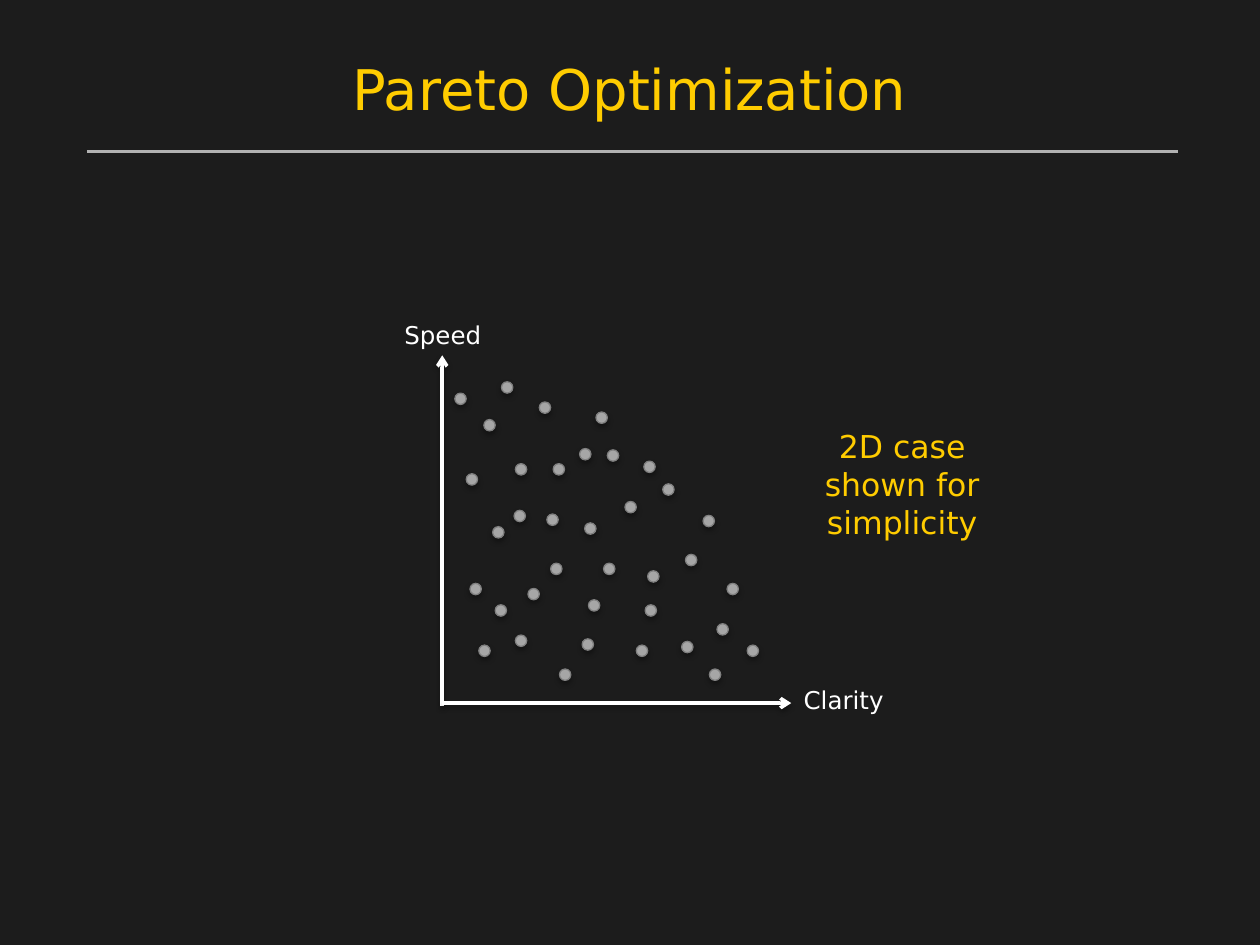
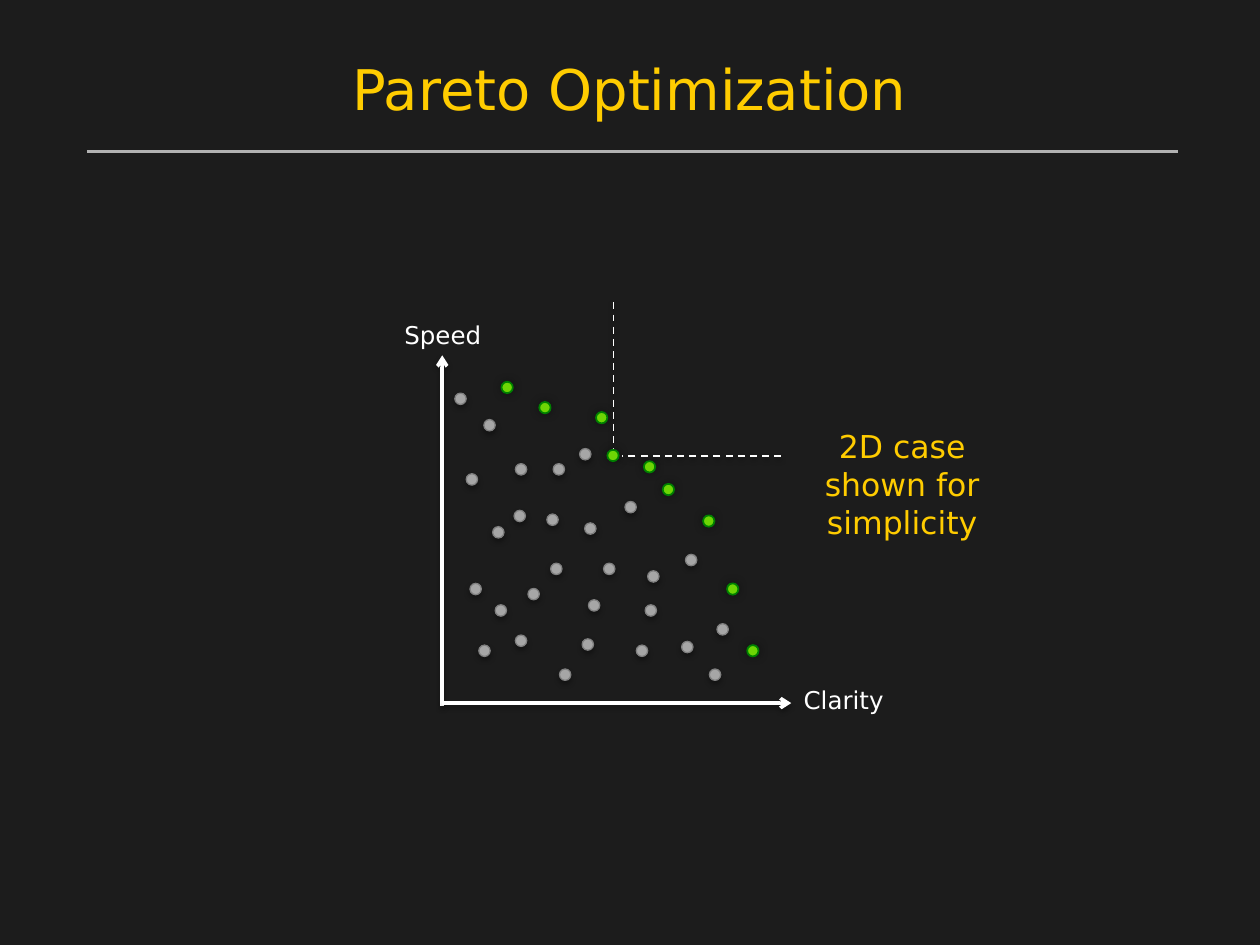
from lxml.etree import SubElement
from pptx import Presentation
from pptx.dml.color import RGBColor
from pptx.enum.dml import MSO_LINE
from pptx.enum.shapes import MSO_CONNECTOR, MSO_SHAPE
from pptx.enum.text import MSO_ANCHOR, MSO_AUTO_SIZE, PP_ALIGN
from pptx.oxml.ns import qn
from pptx.util import Pt

PX = 9144  # 100 px to the inch
FONT = "DejaVu Sans"
DARK = RGBColor(0x1C, 0x1C, 0x1C)
GOLD = RGBColor(0xFF, 0xCC, 0x00)
WHITE = RGBColor(0xFF, 0xFF, 0xFF)
SILVER = RGBColor(0xB2, 0xB2, 0xB2)
GREY = RGBColor(0xA6, 0xA6, 0xA6)
EDGE = RGBColor(0x80, 0x80, 0x80)
LIME = RGBColor(0x6D, 0xD5, 0x05)
GREEN = RGBColor(0x00, 0x80, 0x00)

SIZE = 9
DOTS = [
    (380, 512), (419, 467), (391, 418), (393, 480), (444, 531), (467, 476),
    (505, 512), (370, 376), (514, 453), (409, 368), (398, 303), (541, 509),
    (563, 531), (496, 398), (544, 440), (434, 408), (361, 312), (428, 319),
    (482, 357), (526, 384), (593, 512), (384, 333), (577, 463), (473, 327),
    (460, 356), (511, 366), (558, 409), (373, 463), (462, 507), (409, 504),
    (569, 495), (479, 447), (408, 405), (512, 480), (439, 368), (437, 447),
    (464, 415),
]
# The front: dots with no other dot both clearer (right) and faster (up).
FRONT = [(x, y) for x, y in DOTS
         if not any(a >= x and b <= y and (a, b) != (x, y) for a, b in DOTS)]

# x1, y1, x2, y2, colour, points, kind
RULE = (69, 120, 935, 120, SILVER, 1.5, "rule")
AXES = [(351, 560, 351, 282, WHITE, 2, "axis"),
        (351, 558, 628, 558, WHITE, 2, "axis")]
GUIDES = [(620, 362, 494, 362, WHITE, 1, "guide"),
          (487, 240, 487, 364, WHITE, 1, "guide")]

# text, left, top, width, height, points, colour, align, anchor, wrap
TEXTS = [
    ("Pareto Optimization", 75, 24, 850, 92, 32, GOLD,
     PP_ALIGN.CENTER, MSO_ANCHOR.MIDDLE, True),
    ("Clarity", 628, 539, 84, 34, 14, WHITE,
     PP_ALIGN.LEFT, MSO_ANCHOR.TOP, False),
    ("Speed", 311, 249, 81, 34, 14, WHITE,
     PP_ALIGN.CENTER, MSO_ANCHOR.TOP, False),
    ("2D case shown for simplicity", 620, 334, 192, 101, 18, GOLD,
     PP_ALIGN.CENTER, MSO_ANCHOR.TOP, True),
]


def shade(effects, blur, dist, alpha):
    """Add a black shadow below; blur and dist in points, alpha in percent."""
    cast = SubElement(effects, qn("a:outerShdw"), blurRad=str(Pt(blur)),
                      dist=str(Pt(dist)), dir="5400000", rotWithShape="0")
    black = SubElement(cast, qn("a:srgbClr"), val="000000")
    SubElement(black, qn("a:alpha"), val=str(alpha * 1000))


deck = Presentation()
deck.slide_width = 1000 * PX
deck.slide_height = 750 * PX

for guides, front in (([], []), (GUIDES, FRONT)):
    slide = deck.slides.add_slide(deck.slide_layouts[6])
    slide.background.fill.solid()
    slide.background.fill.fore_color.rgb = DARK
    shapes = slide.shapes

    for x1, y1, x2, y2, tint, width, kind in [*guides, RULE, *AXES]:
        line = shapes.add_connector(MSO_CONNECTOR.STRAIGHT,
                                    x1 * PX, y1 * PX, x2 * PX, y2 * PX)
        line.line.color.rgb = tint
        line.line.width = Pt(width)
        if kind == "guide":
            line.line.dash_style = MSO_LINE.DASH
        if kind == "axis":
            SubElement(line.line._get_or_add_ln(), qn("a:tailEnd"), type="arrow")
        effects = SubElement(line._element.spPr, qn("a:effectLst"))
        if kind != "rule":
            shade(effects, 3.1, 1.6, 38)

    for x, y in DOTS:
        best = (x, y) in front
        dot = shapes.add_shape(MSO_SHAPE.OVAL, x * PX, y * PX,
                               SIZE * PX, SIZE * PX)
        dot.fill.solid()
        dot.fill.fore_color.rgb = LIME if best else GREY
        dot.line.color.rgb = GREEN if best else EDGE
        dot.line.width = Pt(1 if best else 0.75)
        dot.shadow.inherit = False
        effects = dot._element.spPr.find(qn("a:effectLst"))
        shade(effects, *((5.5, 0, 40) if best else (3.1, 1.8, 35)))

    for text, x, y, w, h, size, tint, align, anchor, wrap in TEXTS:
        frame = shapes.add_textbox(x * PX, y * PX, w * PX, h * PX).text_frame
        frame.word_wrap = wrap
        frame.auto_size = MSO_AUTO_SIZE.NONE
        frame.vertical_anchor = anchor
        para = frame.paragraphs[0]
        para.alignment = align
        run = para.add_run()
        run.text = text
        run.font.name = FONT
        run.font.size = Pt(size)
        run.font.color.rgb = tint

deck.save("out.pptx")
